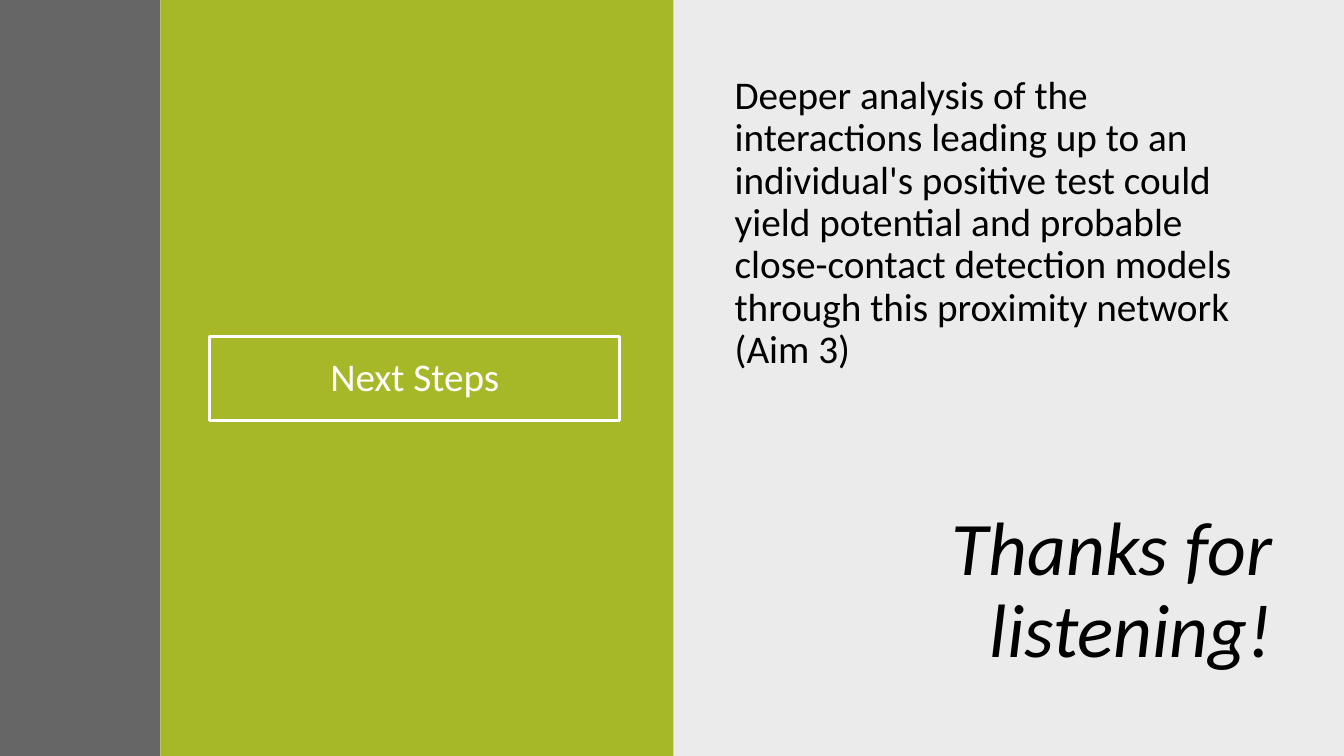
from collections import namedtuple
from lxml.etree import SubElement
from pptx import Presentation
from pptx.dml.color import RGBColor
from pptx.enum.shapes import MSO_SHAPE
from pptx.enum.text import MSO_ANCHOR, PP_ALIGN
from pptx.oxml.ns import qn
from pptx.util import Pt

Theme = namedtuple("Theme", "black white green grey font text_size thanks_size")
theme = Theme(
    black=RGBColor(0x00, 0x00, 0x00),
    white=RGBColor(0xFF, 0xFF, 0xFF),
    green=RGBColor(0xA6, 0xB7, 0x27),
    grey=RGBColor(0x40, 0x40, 0x40),
    font="Calibri",
    text_size=Pt(28),
    thanks_size=Pt(54),
)


def place(shape, left, top, width, height):
    shape.left, shape.top = Pt(left), Pt(top)
    shape.width, shape.height = Pt(width), Pt(height)


def write(shape, text, size, color, align, anchor=MSO_ANCHOR.TOP):
    frame = shape.text_frame
    frame.word_wrap = True
    frame.vertical_anchor = anchor
    para = frame.paragraphs[0]
    para.alignment = align
    para.line_spacing = 0.9
    para.space_before = Pt(0)
    run = para.add_run()
    run.text = text
    run.font.name = theme.font
    run.font.size = size
    run.font.color.rgb = color
    return run


deck = Presentation()
deck.slide_width, deck.slide_height = Pt(960), Pt(540)
slide = deck.slides.add_slide(deck.slide_layouts[5])
shapes = slide.shapes

# Full-height panels: left, width, colour, opacity in percent
panels = [
    (480, 480, theme.black, 8),
    (114.5, 366.5, theme.green, 100),
    (0, 114.5, theme.grey, 80),
]
for left, width, color, alpha in panels:
    panel = shapes.add_shape(MSO_SHAPE.RECTANGLE, Pt(left), 0, Pt(width), Pt(540))
    panel.shadow.inherit = False
    panel.line.fill.background()
    panel.fill.solid()
    panel.fill.fore_color.rgb = color
    if alpha < 100:
        tone = panel.fill._xPr.find(".//" + qn("a:srgbClr"))
        SubElement(tone, qn("a:alpha")).set("val", str(alpha * 1000))

# Framed title, raised above the panels
title = shapes.title
shapes._spTree.append(title._element)
place(title, 149.8, 240.5, 293, 59.8)
title.fill.background()
title.line.color.rgb = theme.white
title.line.width = Pt(2)
write(title, "Next Steps", theme.text_size, theme.white, PP_ALIGN.CENTER, MSO_ANCHOR.MIDDLE)

# Next step
body = shapes.add_textbox(0, 0, 0, 0)
place(body, 517.7, 50.4, 398.2, 243.4)
write(
    body,
    "Deeper analysis of the interactions leading up to an individual's positive test "
    "could yield potential and probable close-contact detection models through this "
    "proximity network (Aim 3)",
    theme.text_size, theme.black, PP_ALIGN.LEFT,
)

# Closing thanks, set low in its box
thanks = shapes.add_textbox(0, 0, 0, 0)
place(thanks, 517.7, 288.7, 398.2, 200.9)
thanks.text_frame.margin_top = Pt(76)
run = write(thanks, "Thanks for listening!", theme.thanks_size, theme.black, PP_ALIGN.RIGHT)
run.font.italic = True

deck.save("out.pptx")
